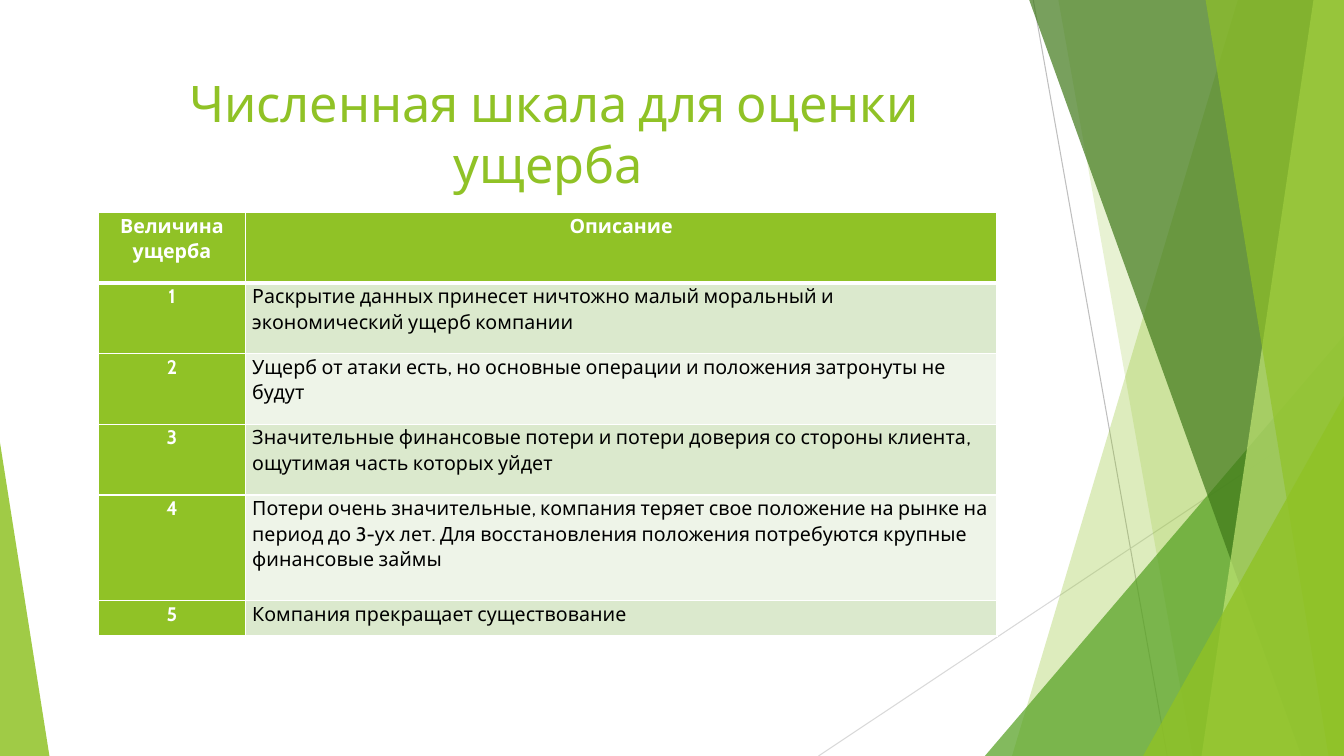
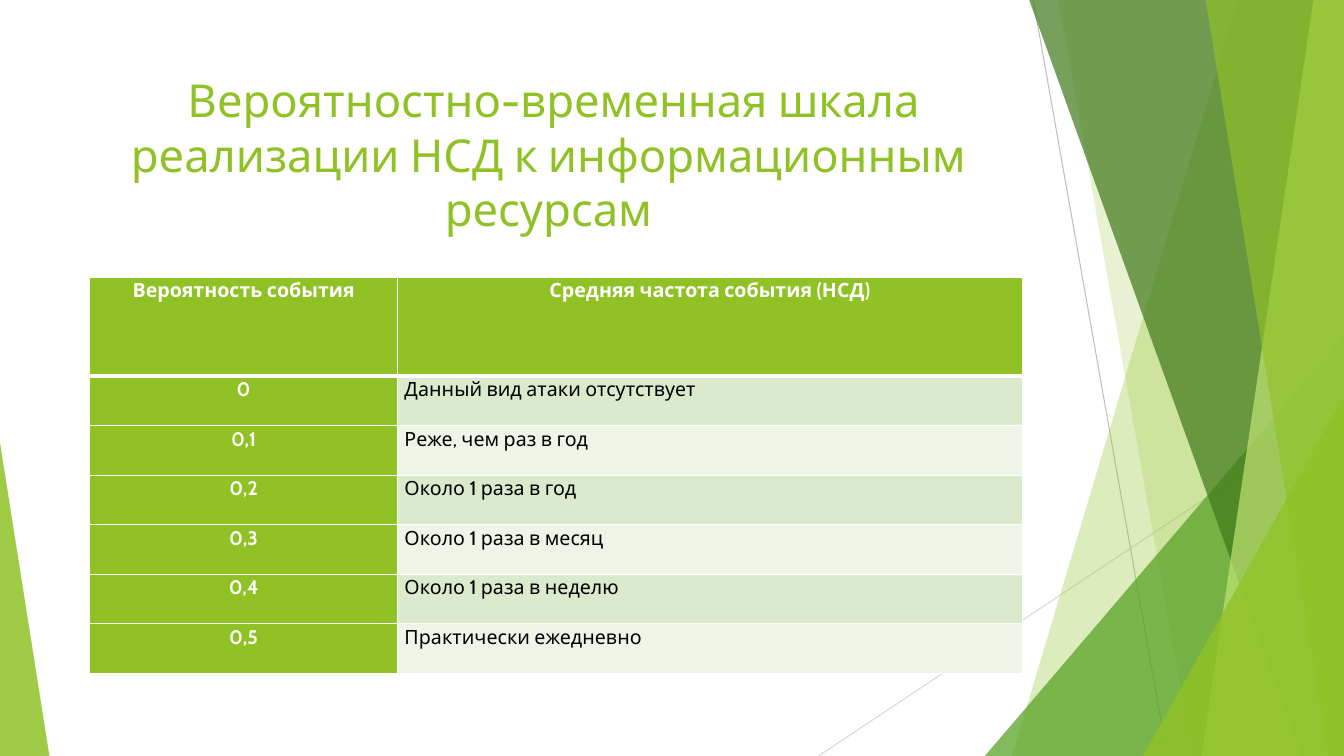
from dataclasses import dataclass
from lxml.etree import SubElement
from pptx import Presentation
from pptx.dml.color import RGBColor
from pptx.enum.shapes import MSO_CONNECTOR, MSO_SHAPE
from pptx.enum.text import MSO_ANCHOR, MSO_AUTO_SIZE, PP_ALIGN
from pptx.oxml.ns import qn
from pptx.util import Inches, Pt


@dataclass(frozen=True)
class Theme:
    font: str = "Cabin"
    lime: str = "90C226"
    pale_lime: str = "C0E474"
    green: str = "54A021"
    forest: str = "3F7819"
    ray: str = "BFBFBF"
    faint_ray: str = "D9D9D9"
    white: str = "FFFFFF"
    black: str = "000000"
    stripes: tuple = ("DBE9CD", "EEF4E8")
    title_size: float = 36
    long_title_size: float = 32.4
    cell_size: float = 14
    ray_width: float = 0.75
    rule: float = 1
    header_rule: float = 3


THEME = Theme()
WIDTH, HEIGHT = Inches(13.33), Inches(7.5)
TITLE_BOX = (5.55, 8.93, 70.52, 19.2)


def across(percent):
    return round(WIDTH * percent / 100)


def down(percent):
    return round(HEIGHT * percent / 100)


def place(left, top, width, height):
    return across(left), down(top), across(width), down(height)


def write(frame, text, *, size, color, bold=False, align=PP_ALIGN.LEFT,
          spacing=1.0, before=0, after=0):
    paragraph = frame.paragraphs[0]
    paragraph.text = text
    paragraph.alignment = align
    paragraph.line_spacing = spacing
    paragraph.space_before, paragraph.space_after = Pt(before), Pt(after)
    for run in paragraph.runs:
        run.font.name = THEME.font
        run.font.size = Pt(size)
        run.font.bold = bold
        run.font.color.rgb = RGBColor.from_string(color)


def tint(facet, color, opacity):
    facet.shadow.inherit = False
    facet.line.fill.background()
    facet.fill.solid()
    facet.fill.fore_color.rgb = RGBColor.from_string(color)
    shade = facet.element.spPr.find(qn("a:solidFill"))[0]
    SubElement(shade, qn("a:alpha"), val=str(opacity * 1000))


def add_ray(backdrop, start, end, color):
    ray = backdrop.shapes.add_connector(
        MSO_CONNECTOR.STRAIGHT, across(start[0]), down(start[1]), across(end[0]), down(end[1]))
    ray.line.color.rgb = RGBColor.from_string(color)
    ray.line.width = Pt(THEME.ray_width)
    SubElement(ray.element.spPr, qn("a:effectLst"))


def add_band(backdrop, head, foot, color, opacity):
    outline = backdrop.shapes.build_freeform(across(head), 0)
    outline.add_line_segments(
        [(WIDTH, 0), (WIDTH, HEIGHT), (across(foot), HEIGHT)], close=True)
    tint(outline.convert_to_shape(), color, opacity)


def add_peak(backdrop, left, top, width, apex, color, opacity):
    peak = backdrop.shapes.add_shape(
        MSO_SHAPE.ISOSCELES_TRIANGLE, *place(left, top, width, 100 - top))
    peak.adjustments[0] = apex
    tint(peak, color, opacity)


def add_backdrop(layout, slide):
    backdrop = slide.shapes.add_group_shape()
    add_ray(backdrop, (76.88, 0), (86.85, 100), THEME.ray)
    add_ray(backdrop, (100, 53.73), (60.9, 100), THEME.faint_ray)
    add_band(backdrop, 92.1, 75.3, THEME.lime, 30)
    add_band(backdrop, 78.75, 88.73, THEME.lime, 20)
    add_peak(backdrop, 73.28, 44.4, 26.72, 1, THEME.green, 72)
    add_band(backdrop, 76.58, 96.83, THEME.forest, 70)
    add_band(backdrop, 97.73, 89.4, THEME.pale_lime, 70)
    add_band(backdrop, 89.7, 98.85, THEME.lime, 65)
    add_peak(backdrop, 85.05, 52.4, 14.95, 1, THEME.lime, 80)
    add_peak(backdrop, 0, 58.53, 3.68, 0, THEME.lime, 85)
    for number, properties in enumerate(backdrop.element.iter(qn("p:cNvPr")), 100):
        properties.set("id", str(number))
    layout.shapes.element.insert(2, backdrop.element)


def add_title(slide, text, size):
    title = slide.shapes.title
    title.left, title.top, title.width, title.height = place(*TITLE_BOX)
    frame = title.text_frame
    frame.word_wrap = True
    frame.auto_size = MSO_AUTO_SIZE.NONE
    frame.vertical_anchor = MSO_ANCHOR.TOP
    write(frame, text, size=size, color=THEME.lime, align=PP_ALIGN.CENTER)


def add_borders(cell, row):
    properties = cell._tc.get_or_add_tcPr()
    widths = {"lnL": THEME.rule, "lnR": THEME.rule,
              "lnT": THEME.header_rule if row == 1 else THEME.rule,
              "lnB": THEME.header_rule if row == 0 else THEME.rule}
    for side, width in widths.items():
        border = SubElement(properties, qn(f"a:{side}"), w=str(Pt(width)))
        SubElement(SubElement(border, qn("a:solidFill")), qn("a:srgbClr"), val=THEME.white)


def fill_cell(cell, text, row, column):
    accented = row == 0 or column == 0
    add_borders(cell, row)
    cell.margin_left = cell.margin_right = Inches(0.07)
    cell.margin_top = cell.margin_bottom = 0
    cell.fill.solid()
    cell.fill.fore_color.rgb = RGBColor.from_string(
        THEME.lime if accented else THEME.stripes[(row - 1) % 2])
    write(cell.text_frame, text, size=THEME.cell_size, bold=accented,
          color=THEME.white if accented else THEME.black,
          align=PP_ALIGN.CENTER if accented else PP_ALIGN.LEFT,
          spacing=1.07, before=6 if row == 0 and column == 1 else 0, after=8)


def add_scale(slide, box, entries, column_shares, row_units):
    left, top, width, height = place(*box)
    scale = slide.shapes.add_table(
        len(entries), len(column_shares), left, top, width, height).table
    scale.horz_banding = False
    for column, share in zip(scale.columns, column_shares):
        column.width = round(width * share / sum(column_shares))
    for row, units in zip(scale.rows, row_units):
        row.height = round(height * units / sum(row_units))
    for row, entry in enumerate(entries):
        for column, text in enumerate(entry):
            fill_cell(scale.cell(row, column), text, row, column)


def add_scale_slide(deck, layout, title, title_size, **scale):
    slide = deck.slides.add_slide(layout)
    add_title(slide, title, title_size)
    add_scale(slide, **scale)
    return slide


DAMAGE = [
    ("Величина\nущерба", "Описание"),
    ("1", "Раскрытие данных принесет ничтожно малый моральный и экономический ущерб компании"),
    ("2", "Ущерб от атаки есть, но основные операции и положения затронуты не будут"),
    ("3", "Значительные финансовые потери и потери доверия со стороны клиента, "
          "ощутимая часть которых уйдет"),
    ("4", "Потери очень значительные, компания теряет свое положение на рынке на период "
          "до 3-ух лет. Для восстановления положения потребуются крупные финансовые займы"),
    ("5", "Компания прекращает существование"),
]
FREQUENCY = [
    ("Вероятность события", "Средняя частота события (НСД)"),
    ("0", "Данный вид атаки отсутствует"),
    ("0,1", "Реже, чем раз в год"),
    ("0,2", "Около 1 раза в год"),
    ("0,3", "Около 1 раза в месяц"),
    ("0,4", "Около 1 раза в неделю"),
    ("0,5", "Практически ежедневно"),
]

deck = Presentation()
deck.slide_width, deck.slide_height = WIDTH, HEIGHT
title_only = deck.slide_layouts[5]
damage_slide = add_scale_slide(
    deck, title_only, " Численная шкала для оценки ущерба", THEME.title_size,
    box=(7.35, 28.13, 66.83, 56), entries=DAMAGE,
    column_shares=(16.3, 83.7), row_units=(2, 2, 2, 2, 3, 1))
add_backdrop(title_only, damage_slide)
add_scale_slide(
    deck, title_only,
    " Вероятностно-временная шкала реализации НСД к информационным ресурсам",
    THEME.long_title_size,
    box=(6.68, 36.67, 69.38, 52.4), entries=FREQUENCY,
    column_shares=(33, 67), row_units=(2, 1, 1, 1, 1, 1, 1))
deck.save("out.pptx")
